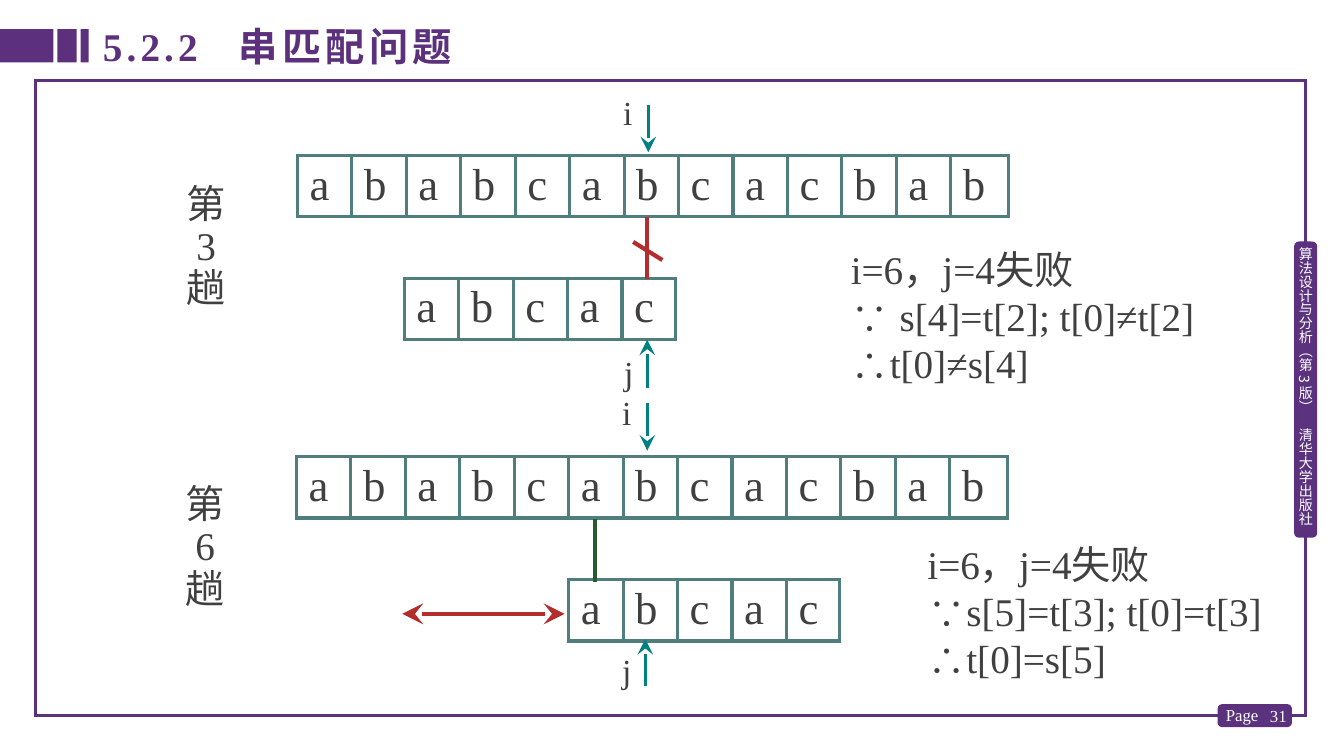
"""Build the slide on rounds 3 and 6 of string matching."""
from lxml import etree
from pptx import Presentation
from pptx.dml.color import RGBColor
from pptx.enum.shapes import MSO_CONNECTOR as Line, MSO_SHAPE as Shape
from pptx.enum.text import MSO_ANCHOR as Anchor, PP_ALIGN as Align
from pptx.oxml.ns import qn
from pptx.util import Inches, Pt

TITLE = "5.2.2\t串匹配问题"
SIDE_NOTE = "算法设计与分析（第 3 版）　清华大学出版社"
MAIN = "ababcabcacbab"
PATTERN = "abcac"
CELL, STRIP_HEIGHT, PADDING = 0.54, 0.61, 0.12
SERIF, SANS = "Times New Roman", "Noto Sans CJK SC"
PURPLE, FRAME, INK, WHITE = "5C307D", "5A327D", "404040", "FFFFFF"
GRID, TEAL, RED, GREEN = "507D7D", "008080", "B42D2D", "285A32"

STRIPS = [
    (MAIN, 2.95, 1.54, 7.05),
    (PATTERN, 4.01, 2.76, 2.69),
    (MAIN, 2.94, 4.53, 7.05),
    (PATTERN, 5.64, 5.75, 2.69),
]
ROUNDS = [("3", 1.75, 1.78), ("6", 1.74, 4.76)]
PROOFS = [
    (["i=6，j=4失败", "∵ s[4]=t[2]; t[0]≠t[2]", "∴t[0]≠s[4]"], 8.34, 2.38, 3.83),
    (["i=6，j=4失败", "∵s[5]=t[3]; t[0]=t[3]", "∴t[0]=s[5]"], 9.1, 5.31, 3.7),
]
POINTERS = [
    ("i", 6.18, 0.86, 6.43, 1.04, 1.51),
    ("j", 6.19, 3.44, 6.42, 3.85, 3.37),
    ("i", 6.17, 3.84, 6.42, 4, 4.47),
    ("j", 6.17, 6.4, 6.4, 6.81, 6.34),
]
LINKS = [
    (6.42, 2.15, 6.42, 2.77, RED),
    (6.28, 2.4, 6.57, 2.58, RED),
    (5.9, 5.15, 5.9, 5.77, GREEN),
]
TITLE_BARS = [(0, 0.53), (0.57, 0.19), (0.8, 0.08)]


def color(value):
    return RGBColor.from_string(value)


def add_box(page, kind, place, fill=None, line=None, weight=2.25):
    box = page.shapes.add_shape(kind, *map(Inches, place))
    box.shadow.inherit = False
    if fill:
        box.fill.solid()
        box.fill.fore_color.rgb = color(fill)
    else:
        box.fill.background()
    if line:
        box.line.color.rgb = color(line)
        box.line.width = Pt(weight)
        etree.SubElement(box.line._get_or_add_ln(), qn("a:miter"), lim="800000")
    else:
        box.line.fill.background()
    return box


def add_line(page, x1, y1, x2, y2, tint, weight=2.25, arrows=()):
    line = page.shapes.add_connector(Line.STRAIGHT, *map(Inches, (x1, y1, x2, y2)))
    line.line.color.rgb = color(tint)
    line.line.width = Pt(weight)
    outline = line.line._get_or_add_ln()
    for end in arrows:
        etree.SubElement(outline, qn(f"a:{end}"), type="stealth", w="lg", len="lg")
    etree.SubElement(line._element.spPr, qn("a:effectLst"))


def write(box, lines, size, tint=INK, font=SERIF, align=Align.LEFT,
          insets=(0.1, 0.05, 0.1, 0.05), anchor=Anchor.TOP, spacing=None, tabs=()):
    frame = box.text_frame
    frame.word_wrap = True
    frame.vertical_anchor = anchor
    (frame.margin_left, frame.margin_top,
     frame.margin_right, frame.margin_bottom) = map(Inches, insets)
    frame.text = "\n".join(lines)
    for para in frame.paragraphs:
        para.alignment = align
        para.line_spacing = spacing
        if tabs:
            stops = etree.SubElement(para._p.get_or_add_pPr(), qn("a:tabLst"))
            for stop in tabs:
                etree.SubElement(stops, qn("a:tab"), pos=str(Inches(stop)), algn="l")
        para.font.size = Pt(size)
        para.font.name = font
        para.font.color.rgb = color(tint)


def add_text(page, place, lines, size, **style):
    box = page.shapes.add_textbox(*map(Inches, place))
    write(box, lines, size, **style)
    return box


def add_title(page):
    title = page.shapes.title
    title.left, title.top, title.width, title.height = map(Inches, (0.92, 0.17, 8.65, 0.57))
    write(title, [TITLE], 28, tint=PURPLE, anchor=Anchor.MIDDLE, tabs=[1.35])
    para = title.text_frame.paragraphs[0]
    para.font.bold = True
    para._p.pPr.find(qn("a:defRPr")).set("spc", "300")


def add_frame(page):
    add_box(page, Shape.RECTANGLE, (0.35, 0.8, 12.6, 6.3), line=FRAME)
    add_box(page, Shape.ROUNDED_RECTANGLE, (12.09, 7, 0.71, 0.2), FRAME, PURPLE, 2)
    add_text(page, (12.45, 6.9, 0.41, 0.4), ["31"], 12, tint=WHITE,
             align=Align.RIGHT, anchor=Anchor.MIDDLE)
    add_text(page, (12.06, 6.94, 0.53, 0.31), ["Page"], 12, tint=WHITE)
    for left, width in TITLE_BARS:
        add_box(page, Shape.RECTANGLE, (left, 0.29, width, 0.33), PURPLE)
    add_box(page, Shape.ROUNDED_RECTANGLE, (12.85, 2.41, 0.2, 2.91), FRAME, PURPLE, 2)
    note = add_text(page, (12.86, 2.45, 0.17, 2.87), [SIDE_NOTE], 10, tint=WHITE,
                    font=SANS, align=Align.CENTER, insets=(0, 0, 0, 0))
    note.text_frame._txBody.bodyPr.set("vert", "eaVert")


def add_strip(page, letters, left, top, width):
    strip = add_box(page, Shape.RECTANGLE, (left, top, width, STRIP_HEIGHT), line=GRID)
    offsets = [CELL * index for index in range(1, len(letters))]
    write(strip, ["\t".join(letters)], 32, insets=(PADDING, 0, 0.02, 0), tabs=offsets)
    for offset in offsets:
        x = left + offset
        add_line(page, x, top, x, top + STRIP_HEIGHT, GRID)


def main():
    deck = Presentation()
    deck.slide_width, deck.slide_height = Inches(13.33), Inches(7.5)
    page = deck.slides.add_slide(deck.slide_layouts[5])
    add_frame(page)
    add_title(page)
    for strip in STRIPS:
        add_strip(page, *strip)
    for number, left, top in ROUNDS:
        add_text(page, (left, top, 0.71, 1.36), ["第", number, "趟"], 28,
                 align=Align.CENTER, insets=(0.1, 0.05, 0.22, 0.05), spacing=0.9)
    for lines, left, top, width in PROOFS:
        add_text(page, (left, top, width, 1.51), lines, 28)
    for name, left, top, x, start, end in POINTERS:
        add_line(page, x, start, x, end, TEAL, arrows=["tailEnd"])
        add_text(page, (left, top, 0.25, 0.5), [name], 24, insets=(0, 0.05, 0, 0.05))
    for link in LINKS:
        add_line(page, *link, weight=3)
    add_line(page, 3.99, 6.09, 5.6, 6.09, RED, 3, ["headEnd", "tailEnd"])
    deck.save("out.pptx")


if __name__ == "__main__":
    main()
